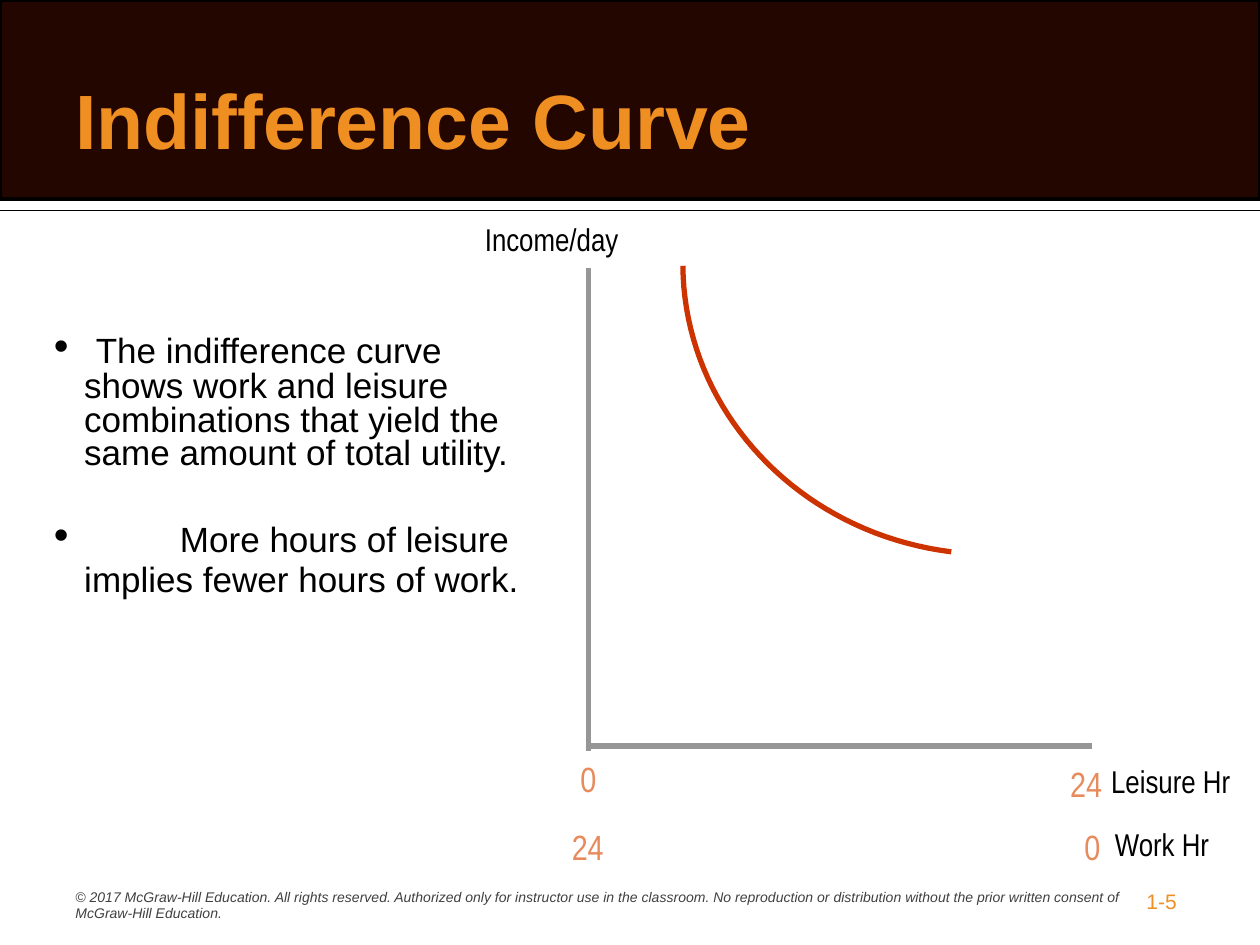
import pptx
import pptx.dml.color
import pptx.enum.shapes
import pptx.enum.text
import pptx.util
from lxml import etree

RGB = pptx.dml.color.RGBColor
BLACK = RGB(0, 0, 0)
BROWN = RGB(0x23, 0x06, 0x00)
AMBER = RGB(0xEF, 0x8E, 0x21)
PEACH = RGB(0xE7, 0x8A, 0x5C)
GRAY = RGB(0x96, 0x96, 0x96)
DARK = RGB(0x40, 0x40, 0x40)
RED = RGB(0xCC, 0x33, 0x00)
SCALE = 9144
STEPS = 40
NS = "http://schemas.openxmlformats.org/drawingml/2006/main"
ALIGN = pptx.enum.text.PP_ALIGN
ANCHOR = pptx.enum.text.MSO_ANCHOR


def emu(*px):
    return [pptx.util.Emu(n * SCALE) for n in px]


def node(top, tag, **vals):
    return etree.SubElement(top, f"{{{NS}}}{tag}", **vals)


class Deck:
    """Holds the style and the current slide, and draws each kind of element."""

    def __init__(self, wide, high):
        self.show = pptx.Presentation()
        self.show.slide_width, self.show.slide_height = emu(wide, high)
        self.slide = self.show.slides.add_slide(self.show.slide_layouts[6])
        self.shapes = self.slide.shapes
        self.font = "Arial"
        self.slim = "Arial Narrow"

    def style(self, run, size, color, face=None, bold=False, slant=False):
        font = run.font
        font.name = face or self.font
        font.size = pptx.util.Pt(size)
        font.color.rgb = color
        font.bold, font.italic = bold, slant

    def frame(self, box):
        frame = self.shapes.add_textbox(*emu(*box)).text_frame
        frame.word_wrap = True
        return frame

    def text(self, box, words, size, color, align=ALIGN.LEFT, anchor=ANCHOR.TOP, **look):
        frame = self.frame(box)
        frame.text = words
        frame.vertical_anchor = anchor
        para = frame.paragraphs[0]
        para.alignment = align
        self.style(para.runs[0], size, color, **look)

    def label(self, box, words):
        self.text(box, words, 18, BLACK, face=self.slim)

    def tick(self, box, words):
        self.text(box, words, 20, PEACH, ALIGN.CENTER, face=self.slim)

    def bullet(self, box, parts):
        para = self.frame(box).paragraphs[0]
        props = para._p.get_or_add_pPr()
        props.set("marL", str(24 * SCALE))
        props.set("indent", str(-24 * SCALE))
        node(props, "buFont", typeface=self.font)
        node(props, "buChar", char="•")
        node(node(props, "tabLst"), "tab", pos=str(100 * SCALE), algn="l")
        para.line_spacing = 0.8
        for words, size in parts:
            run = para.add_run()
            run.text = words
            self.style(run, size, BLACK)

    def line(self, ends, color, width):
        kind = pptx.enum.shapes.MSO_CONNECTOR.STRAIGHT
        line = self.shapes.add_connector(kind, *emu(*ends))
        line.line.color.rgb = color
        line.line.width = pptx.util.Pt(width)
        node(line._element.spPr, "effectLst")

    def band(self, box, fill, edge, width):
        kind = pptx.enum.shapes.MSO_SHAPE.RECTANGLE
        band = self.shapes.add_shape(kind, *emu(*box))
        band.shadow.inherit = False
        band.fill.solid()
        band.fill.fore_color.rgb = fill
        band.line.color.rgb = edge
        band.line.width = pptx.util.Pt(width)

    def curve(self, knots, color, width):
        dots = []
        for step in range(STEPS + 1):
            t = step / STEPS
            u = 1 - t
            mix = (u ** 3, 3 * u * u * t, 3 * u * t * t, t ** 3)
            dots.append([round(SCALE * sum(m * k[axis] for m, k in zip(mix, knots)))
                         for axis in (0, 1)])
        path = self.shapes.build_freeform(*dots[0])
        path.add_line_segments(dots[1:], close=False)
        curve = path.convert_to_shape()
        curve.shadow.inherit = False
        curve.fill.background()
        curve.line.color.rgb = color
        curve.line.width = pptx.util.Pt(width)


def main():
    deck = Deck(1000, 750)
    deck.text((50, 700, 858, 37),
              "© 2017 McGraw-Hill Education. All rights reserved. Authorized only for "
              "instructor use in the classroom. No reproduction or distribution without "
              "the prior written consent of McGraw-Hill Education.", 8, DARK, slant=True)
    deck.text((900, 700, 75, 30), "1-5", 12, AMBER)
    deck.line((0, 167, 1000, 167), BLACK, 1)
    deck.band((0, 0, 1000, 158), BROWN, BLACK, 2)
    deck.text((50, 32, 900, 125), "Indifference Curve", 44, AMBER,
              anchor=ANCHOR.MIDDLE, bold=True)

    deck.line((467, 213, 467, 596), GRAY, 3)
    deck.line((467, 592, 867, 592), GRAY, 3)
    deck.curve(((755, 438), (634, 423), (543, 326), (542, 211)), RED, 3)

    deck.label((375, 170, 167, 40), "Income/day")
    deck.label((872, 600, 128, 40), "Leisure Hr")
    deck.label((875, 650, 125, 40), "Work Hr")
    deck.tick((450, 596, 34, 43), "0")
    deck.tick((833, 600, 58, 43), "24")
    deck.tick((433, 650, 67, 43), "24")
    deck.tick((842, 650, 50, 43), "0")

    deck.bullet((33, 258, 383, 122), [
        (" ", 24),
        ("The indifference curve shows work and leisure combinations "
         "that yield the same amount of total utility.", 20)])
    deck.bullet((33, 408, 398, 75), [
        ("\t", 24),
        ("More hours of leisure implies fewer hours of work.", 20),
        (" ", 24)])
    deck.show.save("out.pptx")


if __name__ == "__main__":
    main()
